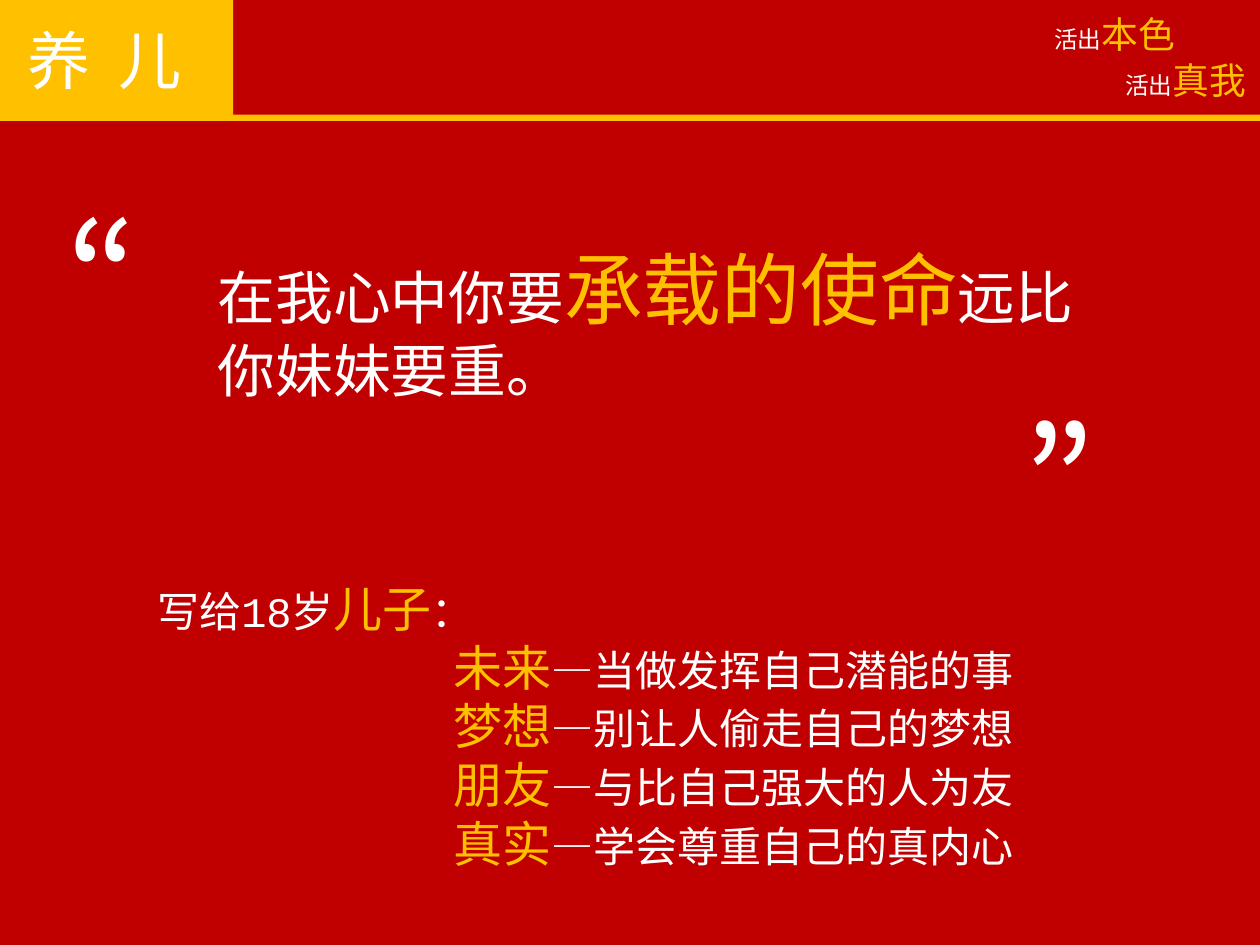
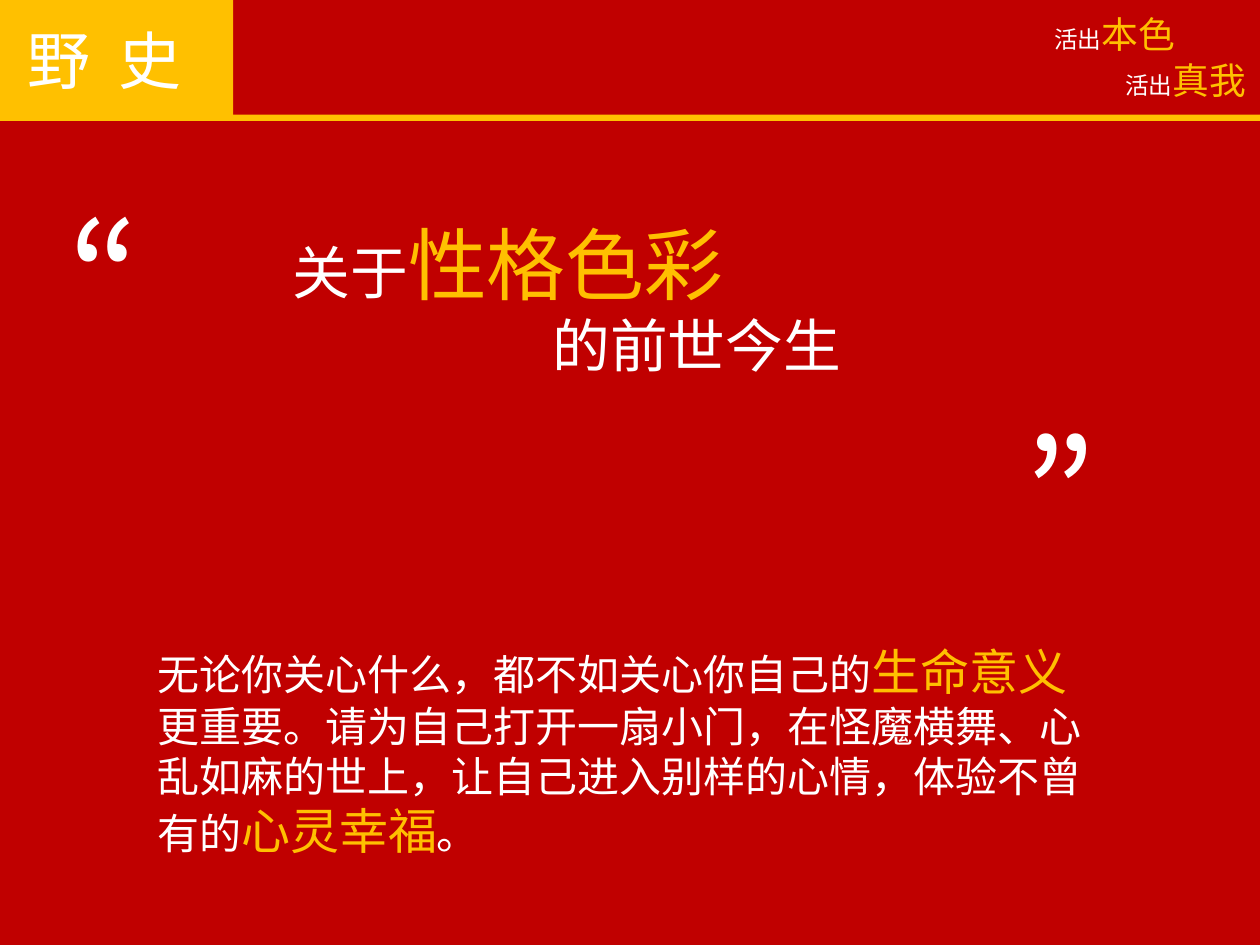
"""Build two red quote slides on a grid of 100 columns by 75 rows."""
from collections import namedtuple

from pptx import Presentation
from pptx.dml.color import RGBColor as Rgb
from pptx.enum.shapes import MSO_SHAPE as Kind
from pptx.oxml.ns import qn
from pptx.util import Inches, Pt

COLS, ROWS = 100, 75
WIDE, HIGH = Inches(10), Inches(7.5)
HUES = {"red": "C00000", "gold": "FFC000", "white": "FFFFFF"}
SANS, MONO = "Noto Sans CJK JP", "Courier New"

Box = namedtuple("Box", "x y w h")
Line = namedtuple("Line", "runs indent", defaults=[0])


def place(box, x, y, w, h):
    """Return a box whose corner is counted from the corner of another."""
    return Box(box.x + x, box.y + y, w, h)


def size(box):
    """Turn grid columns and rows into slide lengths."""
    col, row = WIDE / COLS, HIGH / ROWS
    return [int(n) for n in (box.x * col, box.y * row, box.w * col, box.h * row)]


def style(run, points, hue, face, gap=0):
    """Set size, colour, typeface and letter gap of a run."""
    font = run.font
    font.size, font.name = Pt(points), face
    font.color.rgb = Rgb.from_string(HUES[hue])
    props = font._element
    if gap:
        props.set("spc", str(gap * 100))
    east = props.makeelement(qn("a:ea"), {"typeface": SANS})
    props.find(qn("a:latin")).addnext(east)


def write(slide, box, lines, small, large, face=SANS, gap=0):
    """Write lines of runs, where a run marked with * is large and gold."""
    frame = slide.shapes.add_textbox(*size(box)).text_frame
    frame.word_wrap = True
    for n, line in enumerate(lines):
        para = frame.add_paragraph() if n else frame.paragraphs[0]
        if line.indent:
            para._p.get_or_add_pPr().set("marL", str(int(line.indent * WIDE / COLS)))
        for text in line.runs:
            run = para.add_run()
            run.text = text.lstrip("*")
            key = text.startswith("*")
            style(run, large if key else small, "gold" if key else "white", face, gap)


def bar(slide, box):
    """Draw a plain gold block."""
    shape = slide.shapes.add_shape(Kind.RECTANGLE, *size(box))
    shape.shadow.inherit = False
    shape.fill.solid()
    shape.fill.fore_color.rgb = Rgb.from_string(HUES["gold"])
    shape.line.fill.background()


def head(slide, box, title):
    """Draw the title block, the rule under it and the two mottos."""
    bar(slide, place(box, 0, 9.1, box.w, 0.5))
    bar(slide, place(box, 0, 0, 18.5, 9.2))
    write(slide, place(box, 1.2, 1.2, 16.1, 7.1), [Line([title])], 36, 36, gap=4)
    for n, word in enumerate(["*本色", "*真我"]):
        spot = place(box, 82.7 + 5.63 * n, 0.4 + 3.7 * n, 12.5, 4.5)
        write(slide, spot, [Line(["活出", word])], 13.5, 21)


def quote(slide, box, spot, lines):
    """Write the quotation between an opening and a closing mark."""
    write(slide, place(box, *spot), lines, 33, 45)
    for mark, x, y in (("“", 0, 0), ("”", box.w, box.h)):
        write(slide, place(box, x, y, 14.1, 16), [Line([mark])], 86.2, 86.2)


def note(slide, box, lines):
    """Write the closing text."""
    write(slide, box, lines, 24, 28, MONO)


def page(deck, title):
    """Add a red slide with its head."""
    slide = deck.slides.add_slide(deck.slide_layouts[6])
    fill = slide.background.fill
    fill.solid()
    fill.fore_color.rgb = Rgb.from_string(HUES["red"])
    head(slide, Box(0, 0, COLS, 9.6), title)
    return slide


def son(deck):
    """Build the slide about raising a son."""
    slide = page(deck, "养 儿")
    quote(slide, Box(4.3, 14.1, 75.95, 16.2), (12, 4.5, 71, 14.1),
          [Line(["在我心中你要", "*承载的使命", "远比你妹妹要重。"])])
    advice = {
        "未来": "当做发挥自己潜能的事",
        "梦想": "别让人偷走自己的梦想",
        "朋友": "与比自己强大的人为友",
        "真实": "学会尊重自己的真内心",
    }
    lines = [Line(["写给18岁", "*儿子", "："])]
    lines += [Line(["*" + key, "—" + text], 23.5) for key, text in advice.items()]
    note(slide, Box(11.5, 45.4, 75.8, 24.6), lines)


def lore(deck):
    """Build the slide about the past of character colours."""
    slide = page(deck, "野 史")
    quote(slide, Box(4.45, 14.1, 75.85, 17.2), (17.8, 2.5, 66.3, 14.1),
          [Line(["关于", "*性格色彩"]), Line(["的前世今生"], 20.6)])
    note(slide, Box(11.5, 50.4, 75.8, 18.5), [Line([
        "无论你关心什么，都不如关心你自己的", "*生命意义",
        "更重要。请为自己打开一扇小门，在怪魔横舞、心乱如麻的世上，"
        "让自己进入别样的心情，体验不曾有的", "*心灵幸福", "。"])])


def main():
    """Build and save the deck."""
    deck = Presentation()
    deck.slide_width, deck.slide_height = WIDE, HIGH
    son(deck)
    lore(deck)
    deck.save("out.pptx")


if __name__ == "__main__":
    main()
